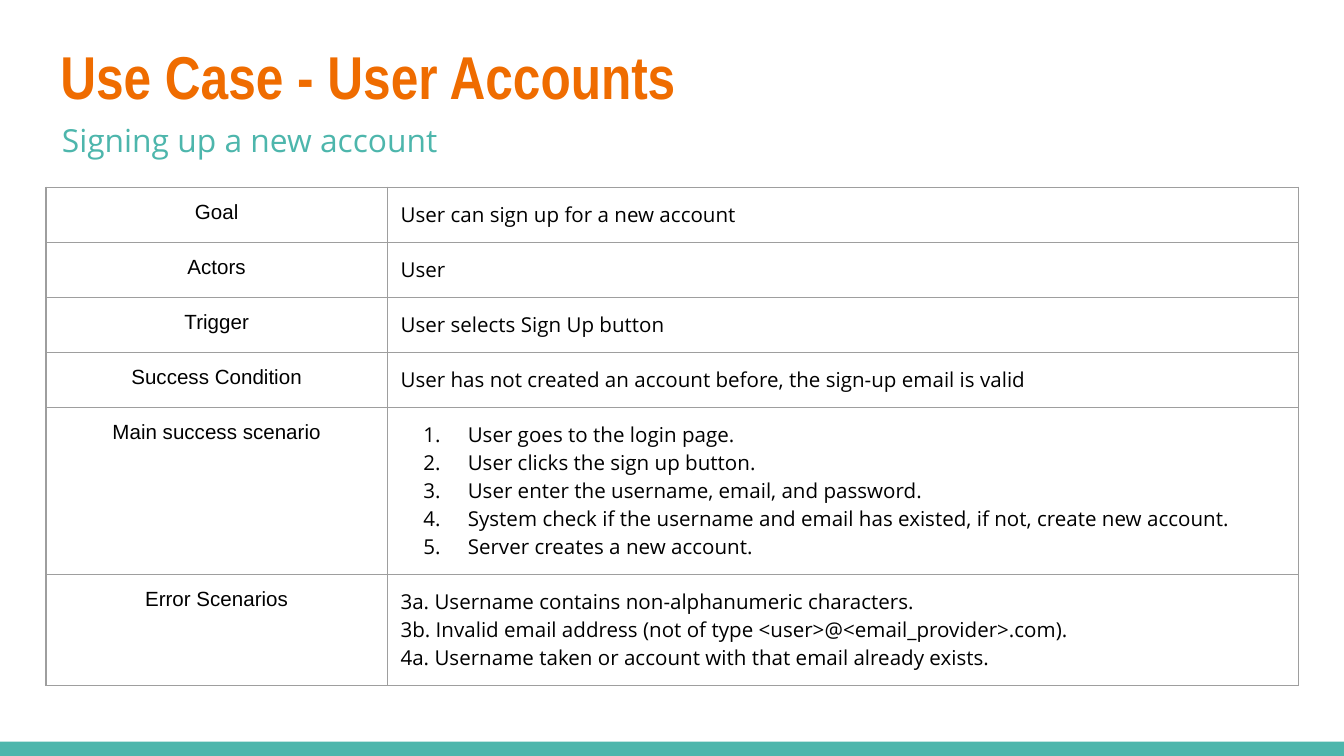
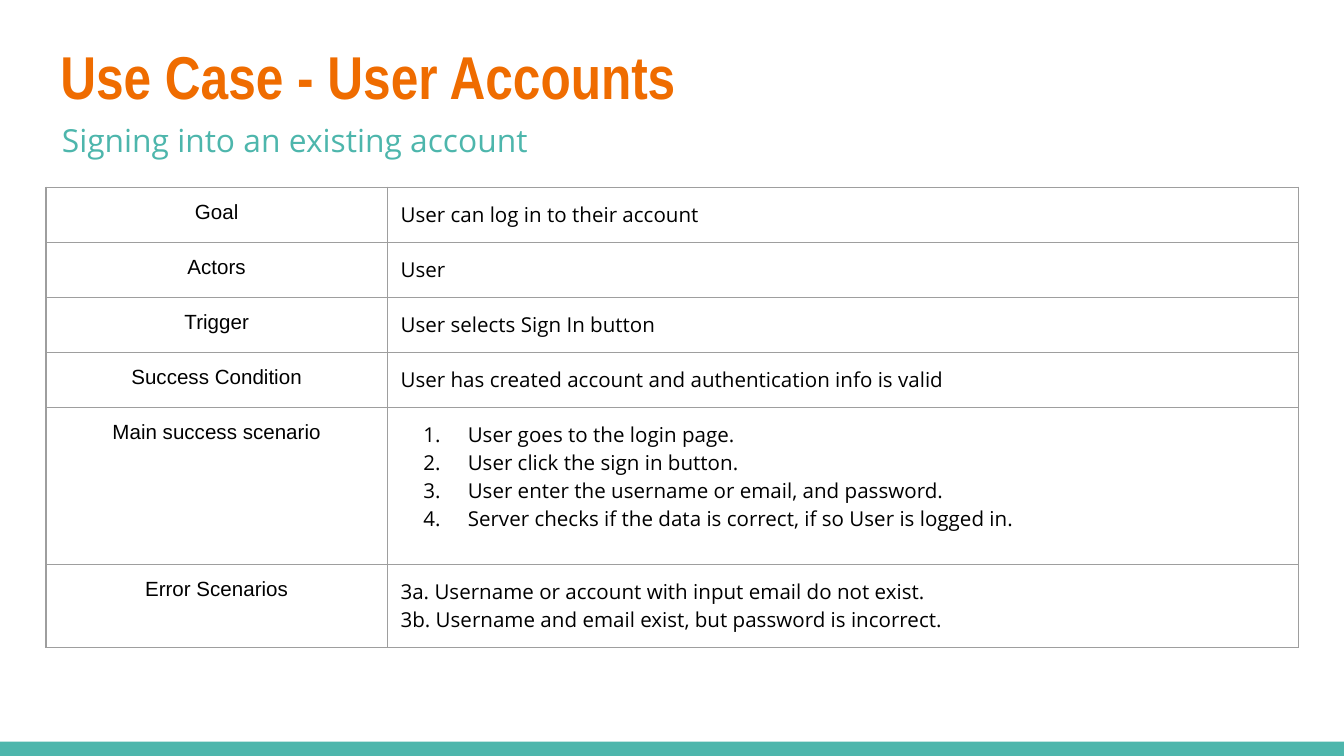
from dataclasses import dataclass

from lxml.etree import SubElement
from pptx import Presentation
from pptx.dml.color import RGBColor
from pptx.enum.shapes import MSO_SHAPE
from pptx.enum.text import MSO_ANCHOR, PP_ALIGN
from pptx.oxml import parse_xml
from pptx.oxml.ns import nsdecls, qn
from pptx.util import Cm, Pt


@dataclass(frozen=True)
class Theme:
    orange: str = "EF6C00"
    teal: str = "4DB6AC"
    black: str = "000000"
    white: str = "FFFFFF"
    border: str = "9E9E9E"
    border_width: float = 0.75
    title_font: str = "Arial Narrow"
    label_font: str = "Arial"
    body_font: str = "Open Sans"
    title_size: float = 32.4
    subtitle_size: float = 17
    table_size: float = 11
    inset: float = 0.25


theme = Theme()

labels = ["Goal", "Actors", "Trigger", "Success Condition",
          "Main success scenario", "Error Scenarios"]
column_widths = [6.45, 17.22]
line_height = 0.53
row_padding = 0.51
steps_min_height = 2.97

# Per slide: subtitle, one-line answers, numbered steps, error lines
use_cases = [
    (
        "Signing up a new account",
        ["User can sign up for a new account", "User",
         "User selects Sign Up button",
         "User has not created an account before, the sign-up email is valid"],
        ["User goes to the login page.",
         "User clicks the sign up button.",
         "User enter the username, email, and password.",
         "System check if the username and email has existed, if not, create new account.",
         "Server creates a new account."],
        ["3a. Username contains non-alphanumeric characters.",
         "3b. Invalid email address (not of type <user>@<email_provider>.com).",
         "4a. Username taken or account with that email already exists."],
    ),
    (
        "Signing into an existing account",
        ["User can log in to their account", "User",
         "User selects Sign In button",
         "User has created account and authentication info is valid"],
        ["User goes to the login page.",
         "User click the sign in button.",
         "User enter the username or email, and password.",
         "Server checks if the data is correct, if so User is logged in."],
        ["3a. Username or account with input email do not exist.",
         "3b. Username and email exist, but password is incorrect."],
    ),
]


def add_run(paragraph, text, font, size, color, bold=False):
    run = paragraph.add_run()
    run.text = text
    run.font.name = font
    run.font.size = Pt(size)
    run.font.bold = bold
    run.font.color.rgb = RGBColor.from_string(color)


def add_heading(slide, left, top, width, height, anchor, text, *style):
    frame = slide.shapes.add_textbox(Cm(left), Cm(top), Cm(width), Cm(height)).text_frame
    frame.word_wrap = True
    frame.vertical_anchor = anchor
    frame.margin_left = frame.margin_right = Cm(theme.inset)
    frame.margin_top = frame.margin_bottom = Cm(theme.inset)
    add_run(frame.paragraphs[0], text, *style)


presentation = Presentation()
presentation.slide_width = Cm(25.4)
presentation.slide_height = Cm(14.29)

for subtitle, answers, steps, errors in use_cases:
    slide = presentation.slides.add_slide(presentation.slide_layouts[6])
    slide.background.fill.solid()
    slide.background.fill.fore_color.rgb = RGBColor.from_string(theme.white)

    # Bottom band
    band = slide.shapes.add_shape(MSO_SHAPE.RECTANGLE, 0, Cm(14.02), Cm(25.4), Cm(0.27))
    band.shadow.inherit = False
    band.fill.solid()
    band.fill.fore_color.rgb = RGBColor.from_string(theme.teal)
    band.line.fill.background()

    # Title and subtitle
    add_heading(slide, 0.89, 0.44, 23.67, 1.96, MSO_ANCHOR.MIDDLE, "Use Case - User Accounts",
                theme.title_font, theme.title_size, theme.orange, True)
    add_heading(slide, 0.92, 2.03, 23.62, 1.09, MSO_ANCHOR.TOP, subtitle,
                theme.body_font, theme.subtitle_size, theme.teal)

    # Use case table, each row as tall as its lines
    line_counts = [1] * len(answers) + [len(steps), len(errors)]
    row_heights = [count * line_height + row_padding for count in line_counts]
    row_heights[4] = max(row_heights[4], steps_min_height)
    table = slide.shapes.add_table(len(labels), 2, Cm(0.87), Cm(3.54),
                                   Cm(sum(column_widths)), Cm(sum(row_heights))).table
    table.first_row = table.horz_banding = False
    for column, width in zip(table.columns, column_widths):
        column.width = Cm(width)
    for row, height in zip(table.rows, row_heights):
        row.height = Cm(height)

    # Cell fill, margins and borders
    for cell in table.iter_cells():
        cell.fill.solid()
        cell.fill.fore_color.rgb = RGBColor.from_string(theme.white)
        cell.margin_left = cell.margin_right = Cm(theme.inset)
        cell.margin_top = cell.margin_bottom = Cm(theme.inset)
        properties = cell._tc.get_or_add_tcPr()
        for position, side in enumerate(["lnL", "lnR", "lnT", "lnB"]):
            properties.insert(position, parse_xml(
                f'<a:{side} {nsdecls("a")} w="{Pt(theme.border_width)}"><a:solidFill>'
                f'<a:srgbClr val="{theme.border}"/></a:solidFill></a:{side}>'))

    # Labels on the left
    for index, label in enumerate(labels):
        paragraph = table.cell(index, 0).text_frame.paragraphs[0]
        paragraph.alignment = PP_ALIGN.CENTER
        add_run(paragraph, label, theme.label_font, theme.table_size, theme.black)

    # Answers and error lines on the right
    plain_rows = [(index, [answer]) for index, answer in enumerate(answers)] + [(5, errors)]
    for index, lines in plain_rows:
        paragraph = table.cell(index, 1).text_frame.paragraphs[0]
        paragraph.space_after = Pt(12)
        for number, line in enumerate(lines):
            if number:
                paragraph.add_line_break()
            add_run(paragraph, line, theme.body_font, theme.table_size, theme.black)

    # Numbered steps
    frame = table.cell(4, 1).text_frame
    for number, step in enumerate(steps):
        paragraph = frame.add_paragraph() if number else frame.paragraphs[0]
        properties = paragraph._p.get_or_add_pPr()
        properties.set("marL", str(Cm(1.27)))
        properties.set("indent", str(Cm(-0.84)))
        bullet_color = SubElement(properties, qn("a:buClr"))
        SubElement(bullet_color, qn("a:srgbClr"), val=theme.black)
        SubElement(properties, qn("a:buFont"), typeface=theme.body_font)
        SubElement(properties, qn("a:buAutoNum"), type="arabicPeriod")
        add_run(paragraph, step, theme.body_font, theme.table_size, theme.black)

presentation.save("out.pptx")
